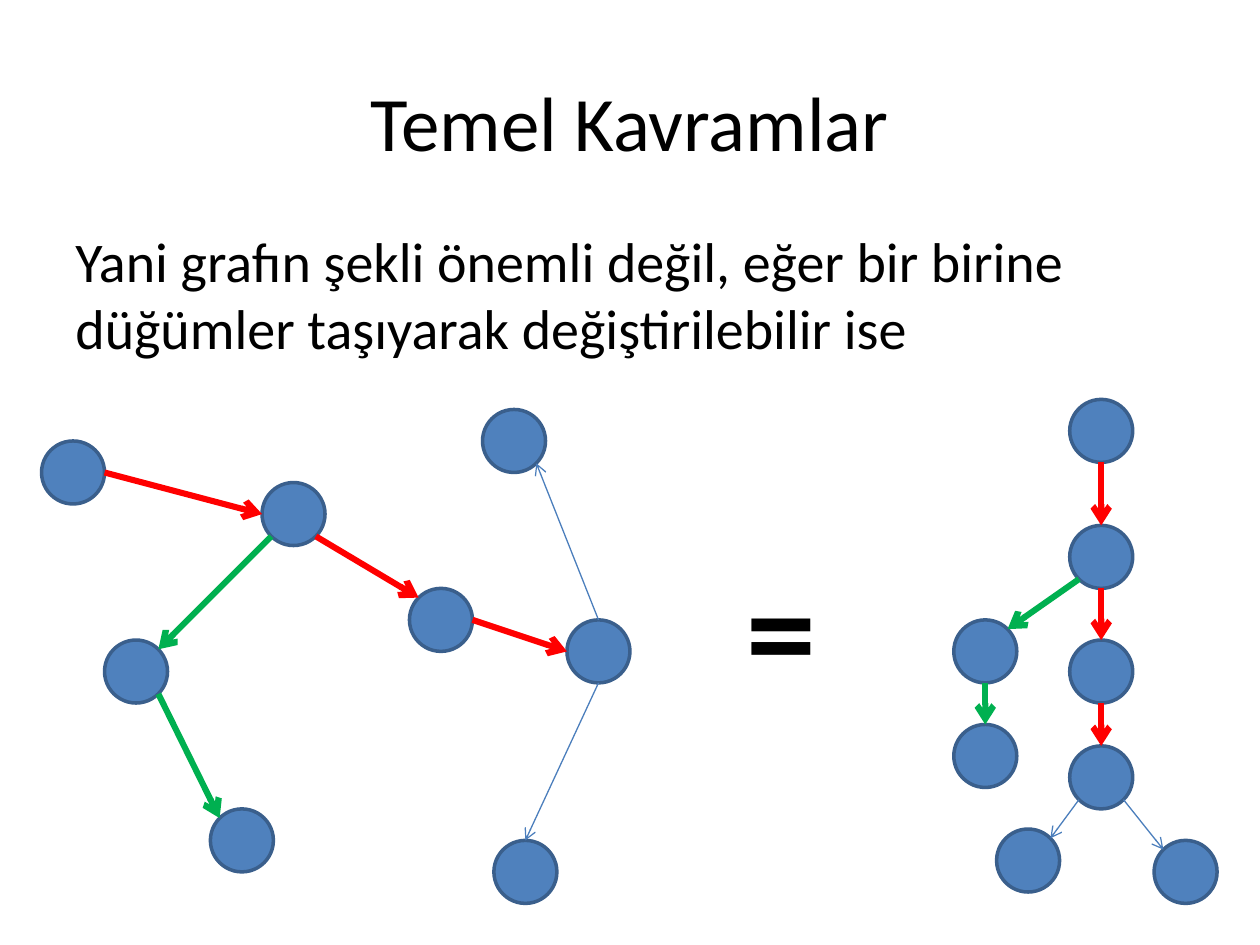
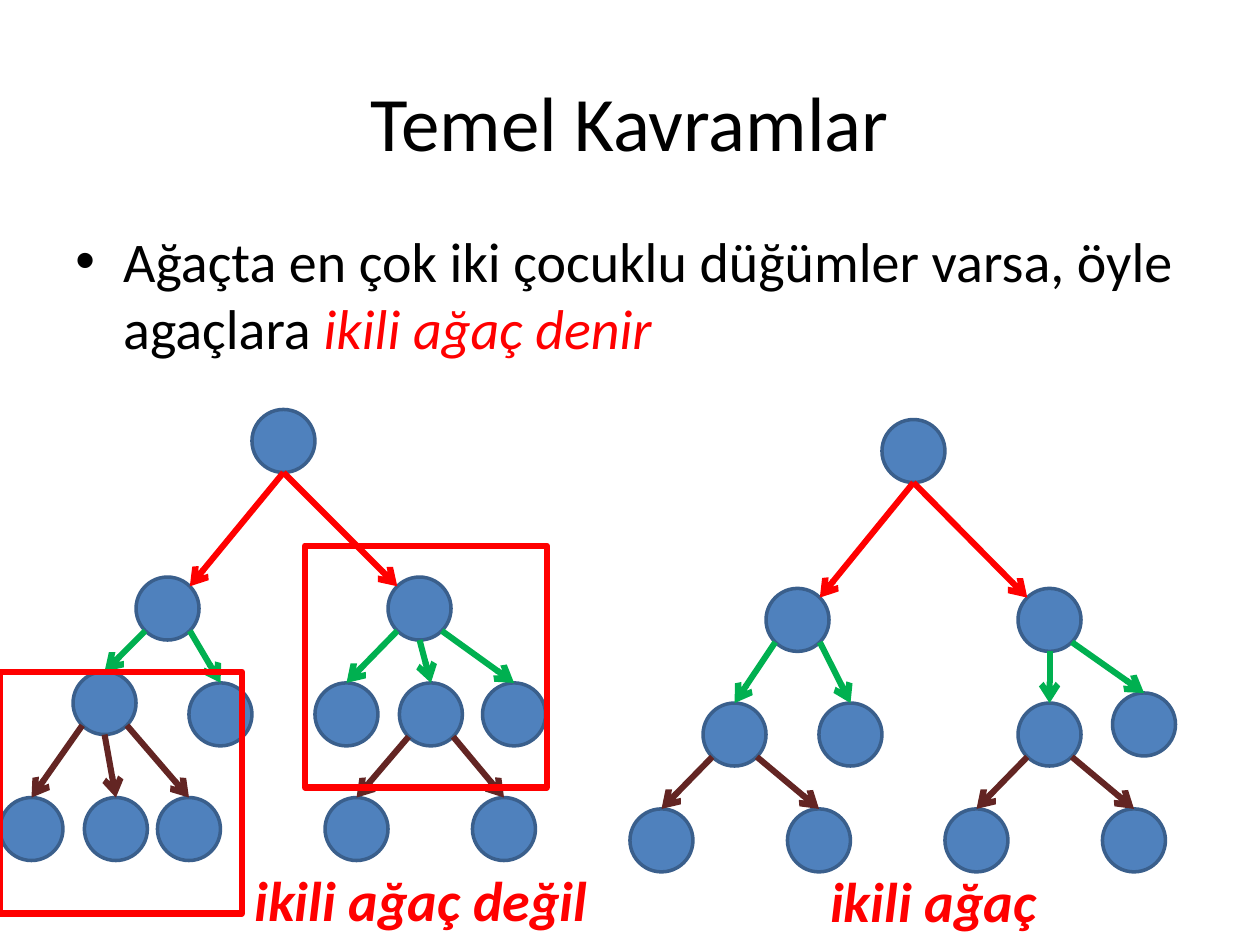
from math import cos, radians, sin

from lxml.etree import SubElement
from pptx import Presentation
from pptx.dml.color import RGBColor
from pptx.enum.shapes import MSO_CONNECTOR as Link, MSO_SHAPE as Shape
from pptx.enum.text import MSO_ANCHOR as Anchor, PP_ALIGN as Align
from pptx.oxml.ns import qn
from pptx.util import Inches, Pt

FONT = "Calibri"
BLACK, RED, GREEN, BROWN = "000000", "FF0000", "00B050", "632523"
BLUE, EDGE, THIN = "4F81BD", "3A5F8C", "4B7EBC"
SIZE = 0.5
SIDES = ["N", "NW", "W", "SW", "S", "SE", "E", "NE"]

WIDE = {"a": (0, 0.25), "b": (1.75, 0.58), "c": (0.5, 1.83), "d": (2.92, 1.42),
        "e": (3.5, 0), "f": (4.17, 1.67), "g": (1.34, 3.17), "h": (3.59, 3.42)}
WIDE_EDGES = {RED: ["aE bW", "bSE dNW", "dE fW"],
              GREEN: ["bSW cNE", "cSE gNW"],
              THIN: ["fN eSE", "fS hN"]}
TALL = {"a": (0.92, 0), "b": (0.92, 1), "c": (0, 1.75), "d": (0.92, 1.91),
        "e": (0.34, 3.41), "f": (0.92, 2.75), "g": (0, 2.58), "h": (1.59, 3.5)}
TALL_EDGES = {RED: ["aS bN", "bS dN", "dS fN"],
              GREEN: ["bSW cNE", "cS gN"],
              THIN: ["fSW eNE", "fSE hNW"]}

MIXED = {"a": (2, 0), "b": (1.08, 1.33), "c": (0.58, 2.08), "d": (3.08, 1.33),
         "e": (3.83, 2.17), "f": (3.17, 2.17), "g": (1.5, 2.17), "h": (2.5, 2.17),
         "i": (1.25, 3.08), "j": (0.67, 3.08), "k": (0, 3.08),
         "l": (3.75, 3.08), "m": (2.58, 3.08)}
PAIRS = {"a": (2, 0), "b": (1.08, 1.34), "c": (0.58, 2.25), "d": (3.08, 1.34),
         "e": (3.83, 2.17), "f": (3.08, 2.25), "g": (1.5, 2.25),
         "i": (1.25, 3.09), "k": (0, 3.09), "l": (3.75, 3.09), "m": (2.5, 3.09)}
PAIR_EDGES = {RED: ["aS bNE", "aS dNW"],
              GREEN: ["bSW cN", "bSE gN", "dS fN", "dSE eN"],
              BROWN: ["cSW kN", "cSE iN", "fSW mN", "fSE lN"]}
MIXED_EDGES = {**PAIR_EDGES,
               GREEN: PAIR_EDGES[GREEN] + ["dSW hN"],
               BROWN: PAIR_EDGES[BROWN] + ["cS jN"]}


def paint(code):
    """Turn a hex string into a colour."""
    return RGBColor.from_string(code)


def write(slide, box, runs, size, wrap=True, bold=False):
    """Add a text box from (text, colour, italic) runs and return its frame."""
    frame = slide.shapes.add_textbox(*map(Inches, box)).text_frame
    frame.word_wrap = wrap
    for text, tone, slant in runs:
        run = frame.paragraphs[0].add_run()
        run.text = text
        font = run.font
        font.name, font.size = FONT, Pt(size)
        font.bold, font.italic = bold, slant
        font.color.rgb = paint(tone)
    return frame


def outline(slide, kind, box, tone, width, fill=None):
    """Add a preset shape with a line and an optional fill."""
    shape = slide.shapes.add_shape(kind, *map(Inches, box))
    shape.shadow.inherit = False
    if fill:
        shape.fill.solid()
        shape.fill.fore_color.rgb = paint(fill)
    else:
        shape.fill.background()
    shape.line.color.rgb = paint(tone)
    shape.line.width = Pt(width)


def arrow(slide, start, end, tone):
    """Draw an arrow between two points."""
    link = slide.shapes.add_connector(Link.STRAIGHT, *map(Inches, start + end))
    link.line.color.rgb = paint(tone)
    link.line.width = Pt(0.75 if tone == THIN else 3.5)
    SubElement(link.line._get_or_add_ln(), qn("a:tailEnd"), type="arrow")
    SubElement(link._element.spPr, qn("a:effectLst"))


def graph(slide, box, nodes, edges):
    """Draw nodes and the arrows between their rims from the box corner."""
    left, top = box
    for x, y in nodes.values():
        outline(slide, Shape.FLOWCHART_CONNECTOR,
                (left + x, top + y, SIZE, SIZE), EDGE, 2, BLUE)

    def rim(end):
        """Find the point on a node's rim, such as aSE."""
        x, y = nodes[end[0]]
        turn = radians(45 * SIDES.index(end[1:]))
        half = SIZE / 2
        return (left + x + half * (1 - sin(turn)),
                top + y + half * (1 - cos(turn)))

    for tone, pairs in edges.items():
        for pair in pairs:
            start, end = pair.split()
            arrow(slide, rim(start), rim(end), tone)


def base(deck, runs, bullet=False):
    """Add a slide with the shared title and a body paragraph."""
    slide = deck.slides.add_slide(deck.slide_layouts[6])
    head = write(slide, (0.5, 0.33, 9, 1.25),
                 [("Temel Kavramlar", BLACK, False)], 44)
    head.vertical_anchor = Anchor.MIDDLE
    head.paragraphs[0].alignment = Align.CENTER
    body = write(slide, (0.5, 1.75, 9, 4.95), runs, 32).paragraphs[0]
    body.space_before = Pt(6.4)
    if bullet:
        props = body._p.get_or_add_pPr()
        props.set("marL", str(Inches(0.38)))
        props.set("indent", str(Inches(-0.38)))
        SubElement(props, qn("a:buFont"), typeface="Arial")
        SubElement(props, qn("a:buChar"), char="•")
    return slide


def same(deck):
    """Build the slide on equal graphs."""
    slide = base(deck, [("Yani grafın şekli önemli değil, eğer bir birine "
                         "düğümler taşıyarak değiştirilebilir ise", BLACK, False)])
    graph(slide, (0.33, 3.25), WIDE, WIDE_EDGES)
    graph(slide, (7.57, 3.17), TALL, TALL_EDGES)
    write(slide, (5.83, 4.25, 0.76, 1.45), [("=", BLACK, False)], 80, False, True)


def binary(deck):
    """Build the slide on binary trees."""
    slide = base(deck, [("Ağaçta en çok iki çocuklu düğümler varsa, öyle agaçlara ",
                         BLACK, False), ("ikili ağaç denir", RED, True)], True)
    graph(slide, (0, 3.25), MIXED, MIXED_EDGES)
    graph(slide, (5, 3.33), PAIRS, PAIR_EDGES)
    for x, y in [(0, 5.33), (2.42, 4.33)]:
        outline(slide, Shape.RECTANGLE, (x, y, 1.92, 1.92), RED, 3.5)
    for text, box in [("ikili ağaç değil", (1.92, 6.82, 2.87, 0.64)),
                      ("ikili ağaç", (6.49, 6.83, 1.86, 0.64))]:
        write(slide, box, [(text, RED, True)], 32, False, True)


def main():
    """Build and save the deck."""
    deck = Presentation()
    deck.slide_width, deck.slide_height = Inches(10), Inches(7.5)
    same(deck)
    binary(deck)
    deck.save("out.pptx")


if __name__ == "__main__":
    main()
